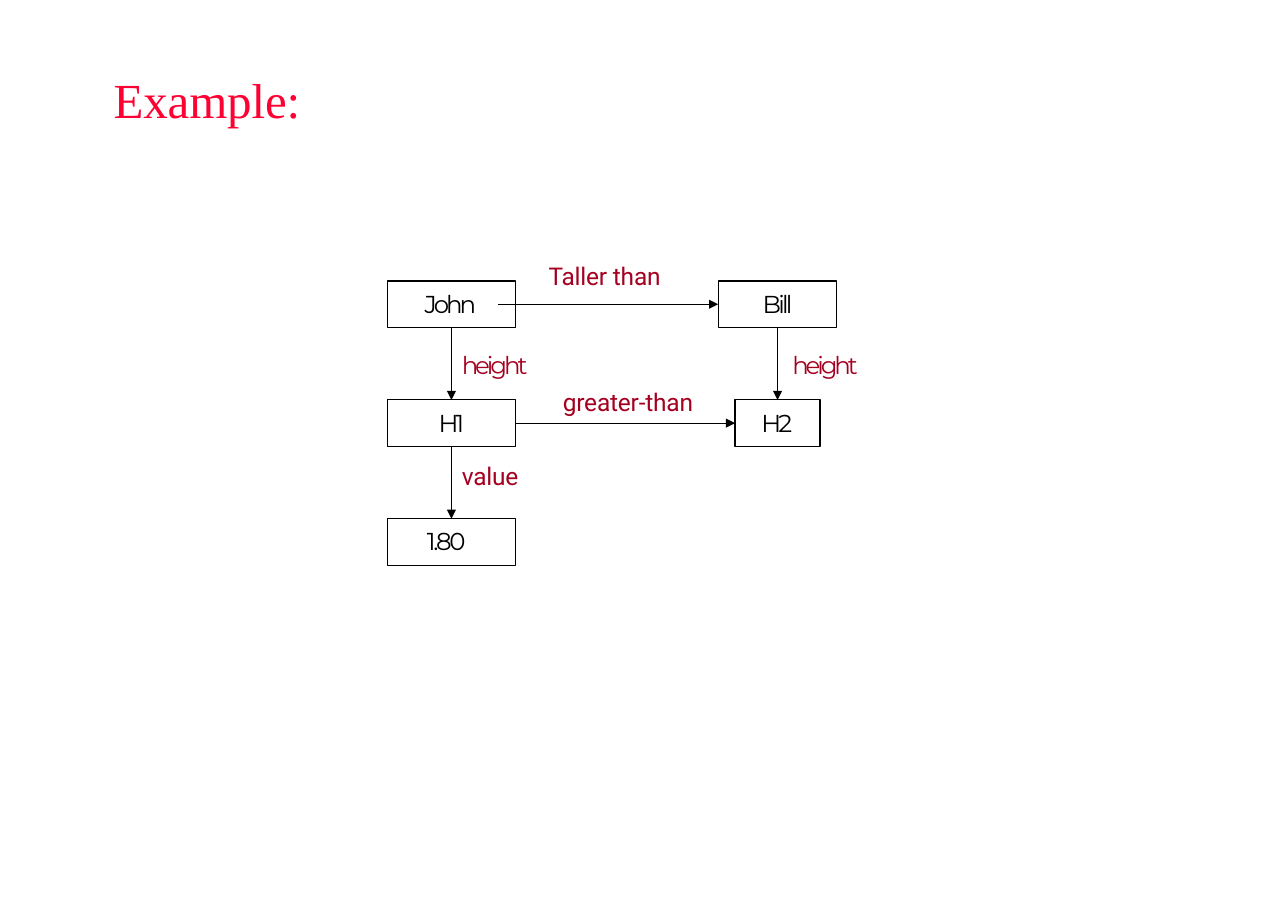
from dataclasses import dataclass
from typing import Any

from lxml.etree import SubElement
from pptx import Presentation
from pptx.dml.color import RGBColor
from pptx.enum.shapes import MSO_CONNECTOR, MSO_SHAPE
from pptx.enum.text import MSO_ANCHOR, PP_ALIGN
from pptx.oxml.ns import qn
from pptx.util import Cm, Pt

TOP, LEFT, BOTTOM, RIGHT = range(4)


@dataclass(frozen=True)
class Theme:
    """Colours, fonts and type sizes of the slide."""

    ink: RGBColor = RGBColor(0x00, 0x00, 0x00)
    title_color: RGBColor = RGBColor(0xFF, 0x00, 0x32)
    relation_color: RGBColor = RGBColor(0xA5, 0x00, 0x20)
    title_font: str = "Times New Roman"
    node_font: str = "Montserrat"
    relation_font: str = "Roboto"
    title_size: int = 32
    body_size: int = 16
    line_width: float = 0.75


@dataclass
class NetworkSlide:
    """Draws the parts of a semantic network on one page."""

    page: Any
    theme: Theme
    first_row: float = 6.48
    row_step: float = 2.74
    node_height: float = 1.07

    def set_text(self, shape, text, font, size, color, tracking,
                 inset=(0.03, 0.03), before=0.9, align=PP_ALIGN.LEFT):
        """Put one styled line of text into a shape."""
        frame = shape.text_frame
        frame.word_wrap = True
        frame.vertical_anchor = MSO_ANCHOR.TOP
        frame.margin_left, frame.margin_top = map(Cm, inset)
        frame.margin_right = frame.margin_bottom = 0
        para = frame.paragraphs[0]
        para.alignment = align
        para.space_before = Pt(before)
        para.font.name = font
        para.font.size = Pt(size)
        para.font.color.rgb = color
        span = para.add_run()
        span.text = text
        span._r.get_or_add_rPr().set("spc", str(round(tracking * 100)))

    def title(self, text, left, top, width, height):
        """Add the slide heading."""
        box = self.page.shapes.add_textbox(Cm(left), Cm(top), Cm(width), Cm(height))
        self.set_text(box, text, self.theme.title_font, self.theme.title_size,
                      self.theme.title_color, -0.1, before=1)

    def node(self, text, center, row, width, tracking, indent=None):
        """Add an outlined box on a row, with its text centred or indented."""
        box = self.page.shapes.add_shape(
            MSO_SHAPE.RECTANGLE, Cm(center - width / 2),
            Cm(self.first_row + row * self.row_step), Cm(width), Cm(self.node_height))
        box.shadow.inherit = False
        box.fill.background()
        box.line.color.rgb = self.theme.ink
        box.line.width = Pt(self.theme.line_width)
        align = PP_ALIGN.CENTER if indent is None else PP_ALIGN.LEFT
        self.set_text(box, text, self.theme.node_font, self.theme.body_size,
                      self.theme.ink, tracking, (indent or 0, 0.18), 4.8, align)
        return box

    def relation(self, text, left, top, width, font, tracking):
        """Add the label of an arrow."""
        box = self.page.shapes.add_textbox(Cm(left), Cm(top), Cm(width), Cm(0.74))
        self.set_text(box, text, font, self.theme.body_size,
                      self.theme.relation_color, tracking)

    def arrow(self, source, target, source_side, target_side):
        """Join the sides of two nodes with an arrow."""
        line = self.arrow_from((0, 0), target, target_side)
        line.begin_connect(source, source_side)

    def arrow_from(self, start, target, target_side):
        """Run an arrow from a free point to the side of a node."""
        line = self.page.shapes.add_connector(
            MSO_CONNECTOR.STRAIGHT, *map(Cm, start), *map(Cm, start))
        line.end_connect(target, target_side)
        line.line.color.rgb = self.theme.ink
        line.line.width = Pt(self.theme.line_width)
        SubElement(line.line._get_or_add_ln(), qn("a:tailEnd"), type="triangle")
        SubElement(line._element.spPr, qn("a:effectLst"))
        return line


def main():
    """Build and save the example network."""
    deck = Presentation()
    deck.slide_width, deck.slide_height = Cm(29.7), Cm(20.98)
    theme = Theme()
    slide = NetworkSlide(deck.slides.add_slide(deck.slide_layouts[6]), theme)
    john_column, bill_column = 10.41, 17.93

    slide.title("Example:", 2.59, 1.57, 4.4, 1.42)
    john = slide.node("John", john_column, 0, 2.95, -2, 0.86)
    john_height = slide.node("H1", john_column, 1, 2.95, -1.9)
    value = slide.node("1.80", john_column, 2, 2.95, -1.6, 0.91)
    bill = slide.node("Bill", bill_column, 0, 2.74, -1.8)
    bill_height = slide.node("H2", bill_column, 1, 1.96, -1.9, 0.61)

    for source, target in ((john, john_height), (john_height, value), (bill, bill_height)):
        slide.arrow(source, target, BOTTOM, TOP)
    slide.arrow(john_height, bill_height, RIGHT, LEFT)
    slide.arrow_from((11.48, slide.first_row + slide.node_height / 2), bill, LEFT)

    for left in (10.62, 18.24):
        slide.relation("height", left, 8.03, 1.6, theme.node_font, -2)
    for text, left, top, width in (
        ("Taller than", 12.62, 5.99, 3.18),
        ("greater-than", 12.95, 8.89, 3.18),
        ("value", 10.62, 10.59, 1.4),
    ):
        slide.relation(text, left, top, width, theme.relation_font, -0.1)

    deck.save("out.pptx")


if __name__ == "__main__":
    main()
